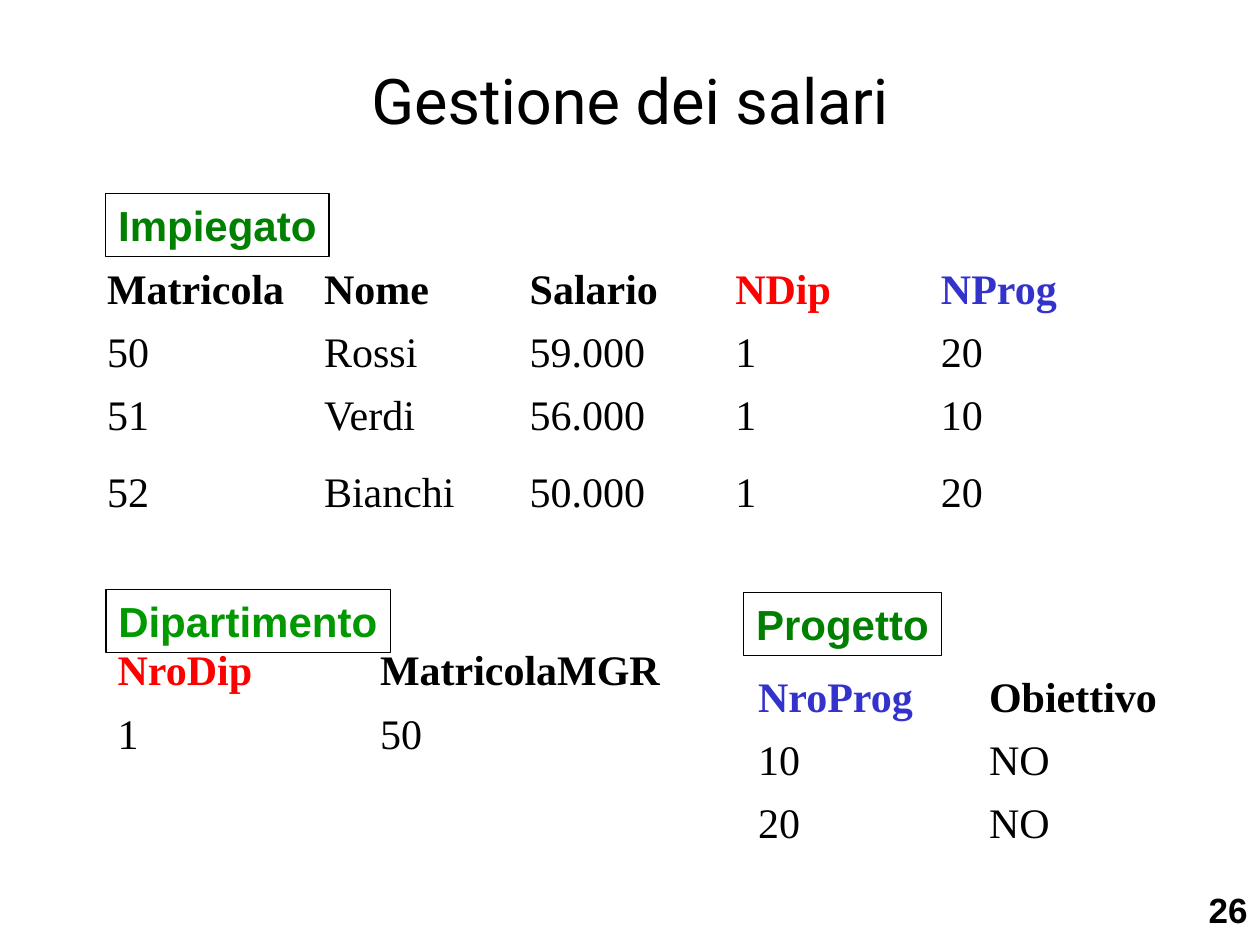
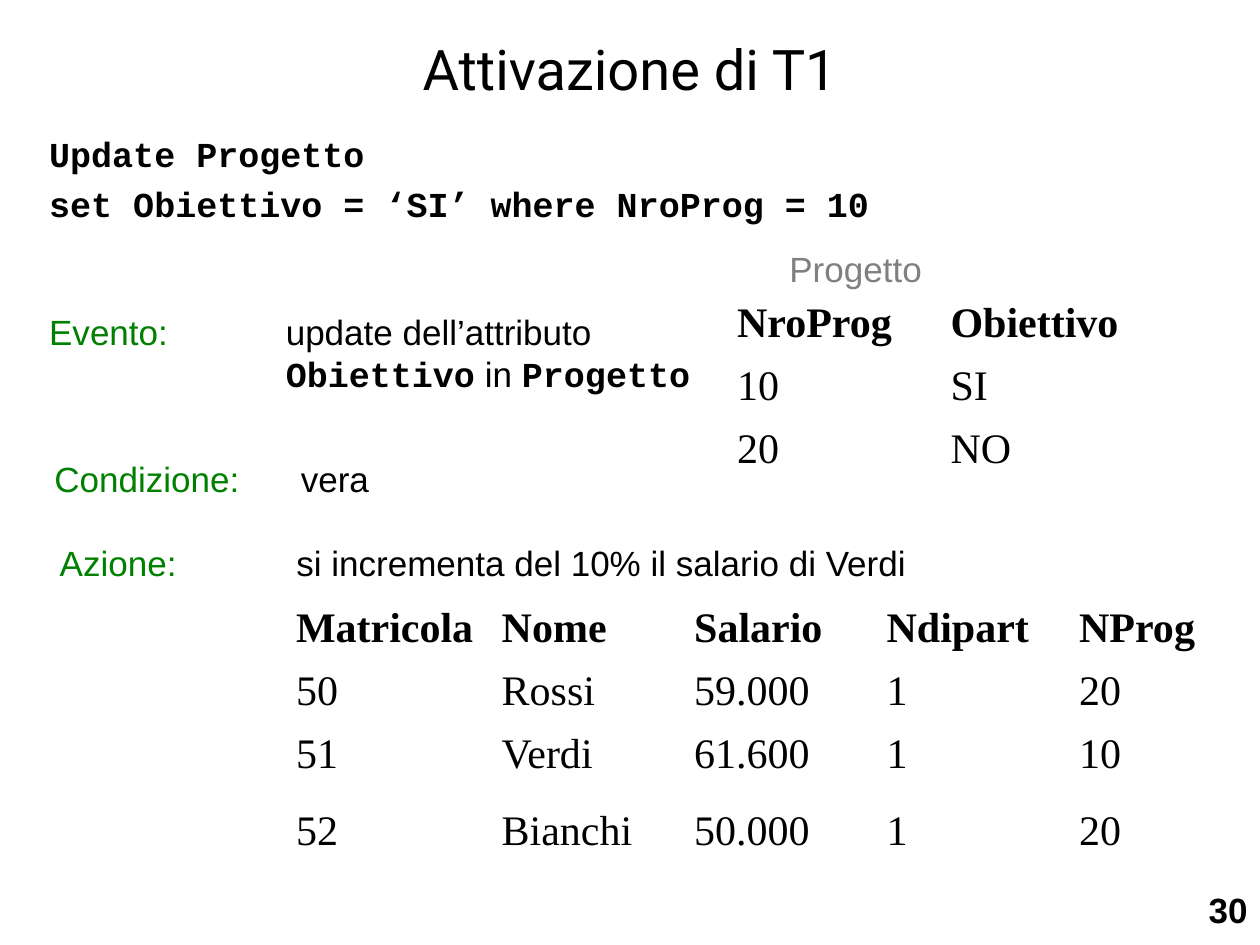
from lxml import etree
from pptx import Presentation
from pptx.dml.color import RGBColor
from pptx.enum.text import MSO_ANCHOR, MSO_AUTO_SIZE, PP_ALIGN
from pptx.oxml.ns import qn
from pptx.util import Pt

LEFT, CENTER, RIGHT = PP_ALIGN.LEFT, PP_ALIGN.CENTER, PP_ALIGN.RIGHT
MIDDLE = MSO_ANCHOR.MIDDLE
FIT_SHAPE = MSO_AUTO_SIZE.SHAPE_TO_FIT_TEXT

BLACK = RGBColor(0x00, 0x00, 0x00)
WHITE = RGBColor(0xFF, 0xFF, 0xFF)
GRAY = RGBColor(0x80, 0x80, 0x80)
RED = RGBColor(0xFF, 0x00, 0x00)
BLUE = RGBColor(0x33, 0x33, 0xCC)
GREEN = RGBColor(0x00, 0x80, 0x00)
LIGHT_GREEN = RGBColor(0x00, 0x99, 0x00)

TITLE_FONT, BODY_FONT = "Roboto", "Arial"
CODE_FONT, TABLE_FONT = "Courier New", "Times New Roman"
HANGING_INDENT = Pt(135.25)


def add_text(slide, box, lines, size=20, color=BLACK, bold=False,
             font=BODY_FONT, align=LEFT, wrap=True):
    shape = slide.shapes.add_textbox(*map(Pt, box))
    frame = shape.text_frame
    frame.word_wrap = wrap
    if not wrap:
        frame.auto_size = FIT_SHAPE
    frame.text = lines
    for index, paragraph in enumerate(frame.paragraphs):
        paragraph.alignment = align
        if index:
            paragraph.space_before = Pt(5)
        paragraph.font.name = font
        paragraph.font.size = Pt(size)
        paragraph.font.bold = bold
        paragraph.font.color.rgb = color
    return shape


def add_data_table(slide, left, top, widths, heights, rows, header_colors):
    """Add an unfilled table with thin white borders and a bold header."""
    table = slide.shapes.add_table(
        len(rows), len(widths), Pt(left), Pt(top),
        Pt(sum(widths)), Pt(sum(heights))).table
    table.first_row = table.horz_banding = False
    for column, width in zip(table.columns, widths):
        column.width = Pt(width)
    for row_index, values in enumerate(rows):
        table.rows[row_index].height = Pt(heights[row_index])
        for column_index, value in enumerate(values):
            cell = table.cell(row_index, column_index)
            cell.text = value
            header = row_index == 0
            font = cell.text_frame.paragraphs[0].font
            font.name = TABLE_FONT
            font.size = Pt(24)
            font.bold = header
            font.color.rgb = header_colors.get(value, BLACK) if header else BLACK
            properties = cell._tc.get_or_add_tcPr()
            for side in ("a:lnL", "a:lnR", "a:lnT", "a:lnB"):
                border = etree.SubElement(properties, qn(side), w=str(Pt(0.45)))
                fill = etree.SubElement(border, qn("a:solidFill"))
                etree.SubElement(fill, qn("a:srgbClr"), val=str(WHITE))
            cell.fill.background()


presentation = Presentation()
presentation.slide_width = Pt(720)
presentation.slide_height = Pt(540)

# Shared title and page number
slides = []
for title, title_box, title_size, number in (
    ("Gestione dei salari", (21, 12, 678, 90), 36, "26"),
    ("Attivazione di T1", (21, 18, 678, 42), 32, "30"),
):
    slide = presentation.slides.add_slide(presentation.slide_layouts[6])
    title_shape = add_text(slide, title_box, title, title_size,
                           font=TITLE_FONT, align=CENTER)
    title_shape.text_frame.vertical_anchor = MIDDLE
    add_text(slide, (672, 504, 48, 36), number, bold=True, align=RIGHT)
    slides.append(slide)
salaries, activation = slides

# Slide 1: the three relations, key columns in matching colours
key_colors = {"NDip": RED, "NroDip": RED, "NProg": BLUE, "NroProg": BLUE}
add_data_table(
    salaries, 54, 149, [124] + [117.5] * 4, [36, 36, 44, 44],
    [("Matricola", "Nome", "Salario", "NDip", "NProg"),
     ("50", "Rossi", "59.000", "1", "20"),
     ("51", "Verdi", "56.000", "1", "10"),
     ("52", "Bianchi", "50.000", "1", "20")], key_colors)
add_data_table(
    salaries, 426, 382, [132, 132], [36, 36, 44],
    [("NroProg", "Obiettivo"), ("10", "NO"), ("20", "NO")], key_colors)
add_data_table(
    salaries, 60, 367, [150, 180], [36, 36],
    [("NroDip", "MatricolaMGR"), ("1", "50")], key_colors)

for name, left, top, width, color in (
    ("Impiegato", 60.5, 110.5, 127.5, GREEN),
    ("Progetto", 425, 338.5, 113, GREEN),
    ("Dipartimento", 60.5, 337, 162.5, LIGHT_GREEN),
):
    label = add_text(salaries, (left, top, width, 36), name, 24, color,
                     bold=True, wrap=False)
    label.line.color.rgb = BLACK
    label.line.width = Pt(0.75)

# Slide 2: the statement, the rule it fires and the resulting tables
add_text(activation, (21, 72, 669, 42),
         "Update Progetto\nset Obiettivo = ‘SI’ where NroProg = 10",
         bold=True, font=CODE_FONT)
add_text(activation, (444, 138, 90, 32), "Progetto", color=GRAY, wrap=False)
add_data_table(
    activation, 414, 168, [122, 124], [36, 36, 44],
    [("NroProg", "Obiettivo"), ("10", "SI"), ("20", "NO")], {})
add_data_table(
    activation, 162, 342, [117.5] + [110] * 4, [36, 36, 44, 44],
    [("Matricola", "Nome", "Salario", "Ndipart", "NProg"),
     ("50", "Rossi", "59.000", "1", "20"),
     ("51", "Verdi", "61.600", "1", "10"),
     ("52", "Bianchi", "50.000", "1", "20")], {})

for term, left, top, width, parts in (
    ("Evento: \t", 21, 174, 435,
     [("update dell’attributo ", False), ("Obiettivo", True),
      (" in ", False), ("Progetto", True)]),
    ("Condizione: \t ", 24, 258, 663, [("vera", False)]),
    ("Azione: \t", 27, 306, 663,
     [("si incrementa del 10% il salario di Verdi", False)]),
):
    shape = add_text(activation, (left, top, width, 42), term, color=GREEN)
    paragraph = shape.text_frame.paragraphs[0]
    properties = paragraph._p.get_or_add_pPr()
    properties.set("marL", str(HANGING_INDENT))
    properties.set("indent", str(-HANGING_INDENT))
    tabs = etree.Element(qn("a:tabLst"))
    for position in (0, 144):
        etree.SubElement(tabs, qn("a:tab"), pos=str(Pt(position)), algn="l")
    properties.find(qn("a:defRPr")).addprevious(tabs)
    for text, is_code in parts:
        run = paragraph.add_run()
        run.text = text
        run.font.name = CODE_FONT if is_code else BODY_FONT
        run.font.bold = is_code
        run.font.color.rgb = BLACK

presentation.save("out.pptx")
